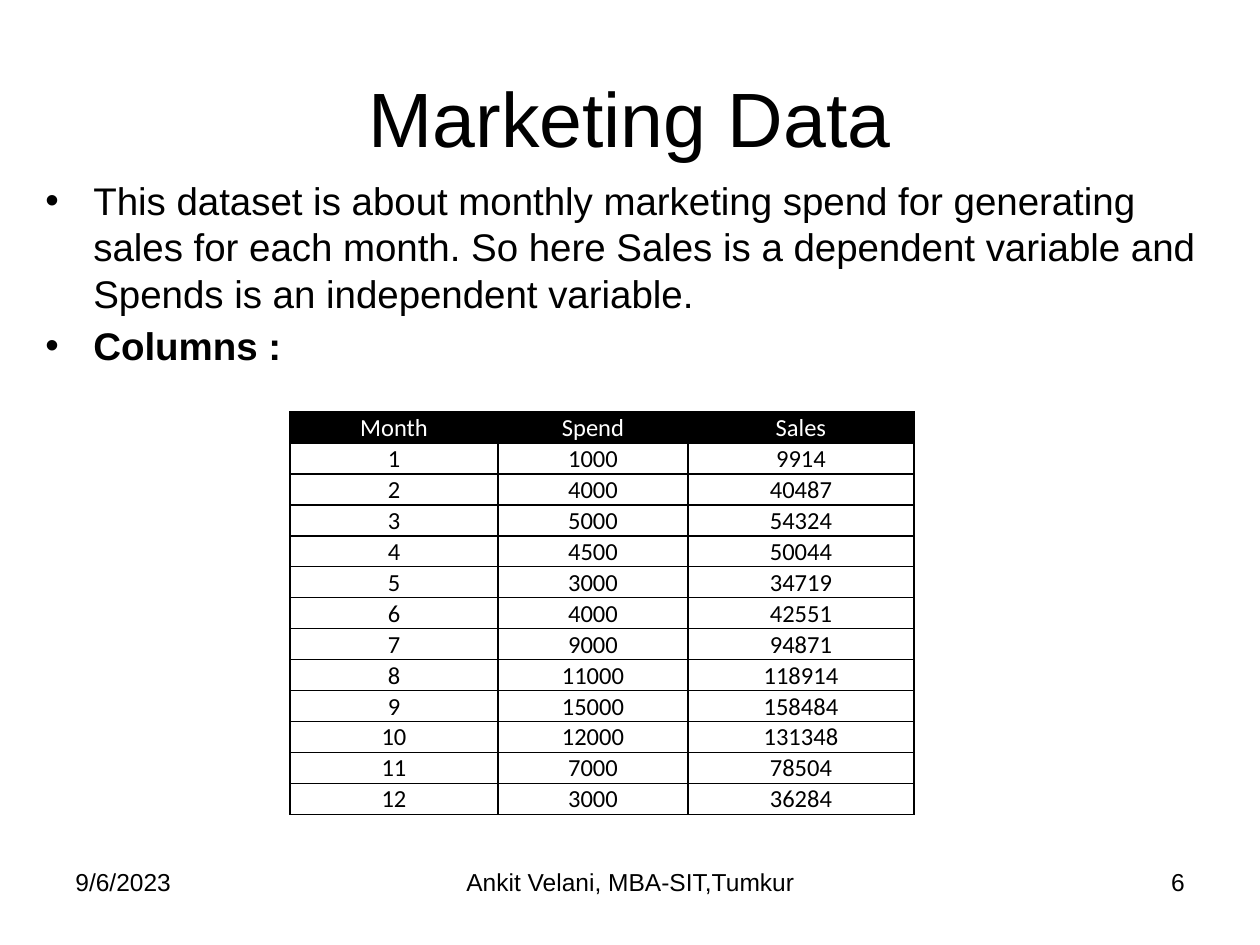
from dataclasses import dataclass

from lxml import etree
from pptx import Presentation
from pptx.dml.color import RGBColor
from pptx.enum.text import MSO_ANCHOR, PP_ALIGN
from pptx.oxml.ns import qn
from pptx.util import Pt

LEFT, CENTER, RIGHT = PP_ALIGN.LEFT, PP_ALIGN.CENTER, PP_ALIGN.RIGHT
TOP, MIDDLE, BOTTOM = MSO_ANCHOR.TOP, MSO_ANCHOR.MIDDLE, MSO_ANCHOR.BOTTOM
TITLE_ONLY = 5
PIXELS_PER_INCH = 126
EMU_PER_INCH = 914400


@dataclass(frozen=True)
class Theme:
    text_font: str = "Arial"
    table_font: str = "Calibri"
    black: str = "000000"
    white: str = "FFFFFF"
    title_size: int = 44
    body_size: int = 22
    small_size: int = 14
    bullet_gap: float = 3.6
    border_width: int = 1


THEME = Theme()
PAGE_SIZE = (1260, 945)
TITLE_BOX = (63, 38, 1134, 158)
BODY_BOX = (18, 171, 1225, 230)
TABLE_BOX = (290, 412, 624, 403)
FOOTER_BOX = (63, 861, 1134, 66)

BULLETS = [
    ("This dataset is about monthly marketing spend for generating sales for "
     "each month. So here Sales is a dependent variable and Spends is an "
     "independent variable.", False),
    ("Columns :", True),
]
HEADINGS = ("Month", "Spend", "Sales")
COLUMN_WIDTHS = (208, 190, 226)
SPENDS = (1000, 4000, 5000, 4500, 3000, 4000, 9000, 11000, 15000, 12000, 7000, 3000)
SALES = (9914, 40487, 54324, 50044, 34719, 42551,
         94871, 118914, 158484, 131348, 78504, 36284)
FOOTER_PARTS = [
    (0, 294, "9/6/2023", LEFT),
    (368, 399, "Ankit Velani, MBA-SIT,Tumkur", CENTER),
    (840, 294, "6", RIGHT),
]


def px(length):
    return round(length * EMU_PER_INCH / PIXELS_PER_INCH)


def place(shape, box):
    shape.left, shape.top, shape.width, shape.height = map(px, box)


def style(para, size, align=LEFT, font=THEME.text_font, color=THEME.black, bold=False):
    para.alignment = align
    para.font.name = font
    para.font.size = Pt(size)
    para.font.bold = bold
    para.font.color.rgb = RGBColor.from_string(color)


def add_text_box(page, box):
    frame = page.shapes.add_textbox(*map(px, box)).text_frame
    frame.word_wrap = True
    frame.vertical_anchor = TOP
    return frame


def add_bullet(para):
    properties = para._p.get_or_add_pPr()
    properties.set("marL", str(px(63)))
    properties.set("indent", str(px(-48)))
    font = etree.SubElement(properties, qn("a:buFont"))
    font.set("typeface", THEME.text_font)
    mark = etree.SubElement(properties, qn("a:buChar"))
    mark.set("char", "•")
    properties.append(properties.find(qn("a:defRPr")))


def add_title(page, box):
    title = page.shapes.title
    place(title, box)
    title.text_frame.text = "Marketing Data"
    title.text_frame.vertical_anchor = MIDDLE
    style(title.text_frame.paragraphs[0], THEME.title_size, CENTER)


def add_body(page, box):
    frame = add_text_box(page, box)
    for index, (words, bold) in enumerate(BULLETS):
        para = frame.add_paragraph() if index else frame.paragraphs[0]
        para.text = words
        para.space_before = Pt(THEME.bullet_gap)
        style(para, THEME.body_size, bold=bold)
        add_bullet(para)


def add_borders(cell):
    properties = cell._tc.get_or_add_tcPr()
    for index, side in enumerate(("a:lnL", "a:lnR", "a:lnT", "a:lnB")):
        line = etree.Element(qn(side), w=str(Pt(THEME.border_width)))
        fill = etree.SubElement(line, qn("a:solidFill"))
        etree.SubElement(fill, qn("a:srgbClr"), val=THEME.black)
        properties.insert(index, line)


def fill_cell(cell, words, color, background):
    cell.text = words
    cell.vertical_anchor = BOTTOM
    cell.margin_left = cell.margin_right = cell.margin_top = px(1)
    cell.margin_bottom = 0
    cell.fill.solid()
    cell.fill.fore_color.rgb = RGBColor.from_string(background)
    style(cell.text_frame.paragraphs[0], THEME.small_size, CENTER,
          THEME.table_font, color)
    add_borders(cell)


def add_data_table(page, box):
    months = range(1, len(SALES) + 1)
    rows = [HEADINGS, *zip(months, SPENDS, SALES)]
    table = page.shapes.add_table(len(rows), len(HEADINGS), *map(px, box)).table
    table.first_row = table.horz_banding = False
    for column, width in zip(table.columns, COLUMN_WIDTHS):
        column.width = px(width)
    for row_index, values in enumerate(rows):
        table.rows[row_index].height = px(box[3] / len(rows))
        colors = (THEME.black, THEME.white) if row_index else (THEME.white, THEME.black)
        for column_index, value in enumerate(values):
            fill_cell(table.cell(row_index, column_index), str(value), *colors)


def add_footer(page, box):
    left, top, _, height = box
    for offset, width, words, align in FOOTER_PARTS:
        frame = add_text_box(page, (left + offset, top, width, height))
        frame.text = words
        style(frame.paragraphs[0], THEME.small_size, align)


def main():
    deck = Presentation()
    deck.slide_width, deck.slide_height = map(px, PAGE_SIZE)
    page = deck.slides.add_slide(deck.slide_layouts[TITLE_ONLY])
    add_title(page, TITLE_BOX)
    add_body(page, BODY_BOX)
    add_footer(page, FOOTER_BOX)
    add_data_table(page, TABLE_BOX)
    deck.save("out.pptx")


if __name__ == "__main__":
    main()
